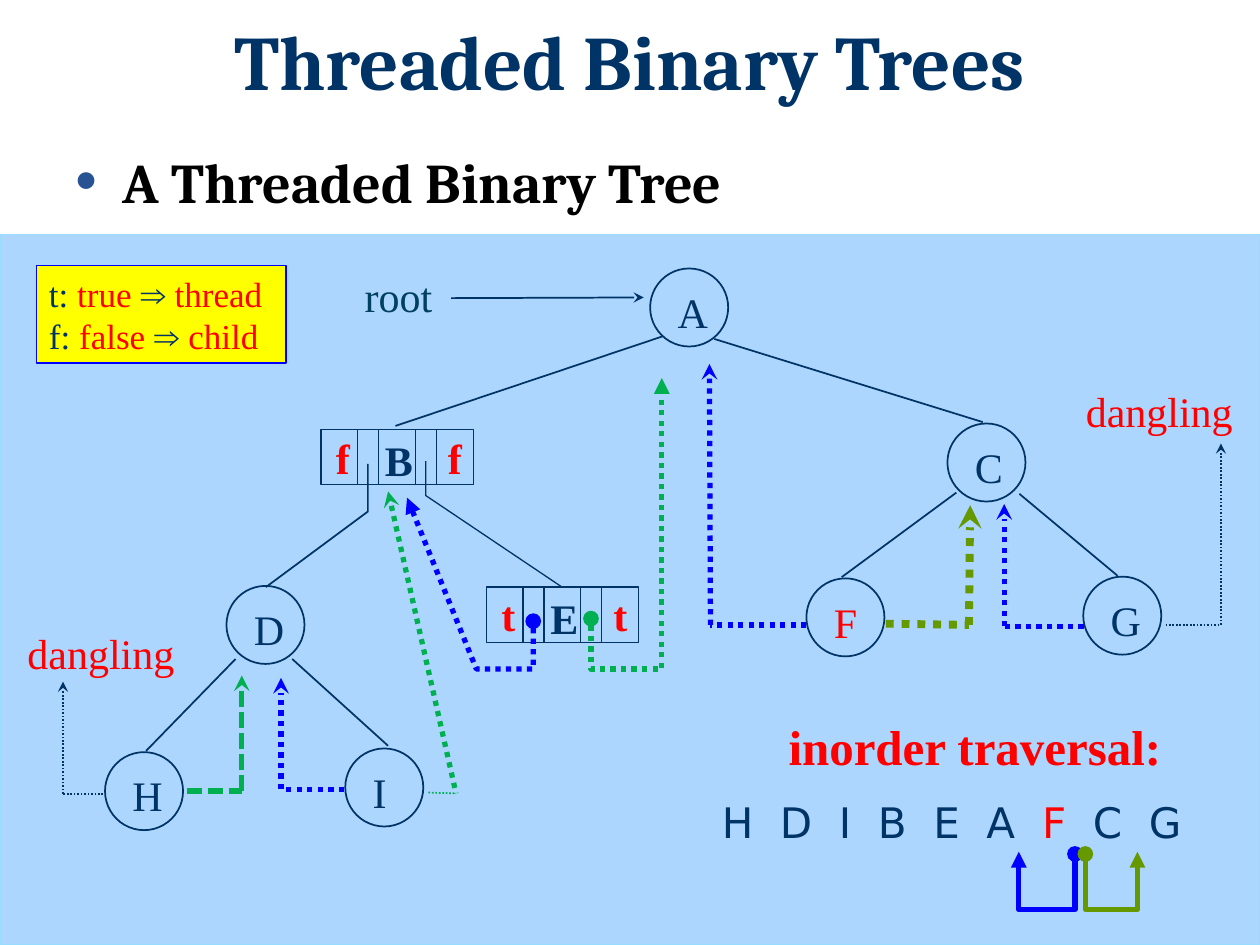
import pptx
import pptx.dml.color
import pptx.enum.dml
import pptx.enum.shapes
import pptx.enum.text
import pptx.oxml
import pptx.oxml.ns
import pptx.util

Pt = pptx.util.Pt
SHAPE = pptx.enum.shapes.MSO_SHAPE
ALIGN = pptx.enum.text.PP_ALIGN
DOT = pptx.enum.dml.MSO_LINE.ROUND_DOT
DASH = pptx.enum.dml.MSO_LINE.SQUARE_DOT

COLORS = {
    "navy": "003366", "teal": "004060", "red": "FF0000", "blue": "0000FF",
    "green": "00B050", "olive": "669900", "black": "000000", "bullet": "275393",
    "panel": "ADD6FF", "edge": "98DDFF", "yellow": "FFFF00",
}
SERIF = "Times New Roman"
NODE = 44.6
CELLS = [21, 12, 21, 12, 21]
CELL_H = 31.5


def rgb(name):
    return pptx.dml.color.RGBColor.from_string(COLORS[name])


def sub_element(parent, tag, **attrs):
    el = pptx.oxml.parse_xml(f"<{tag} {pptx.oxml.ns.nsdecls('a')}/>")
    for key, value in attrs.items():
        el.set(key, str(value))
    parent.append(el)
    return el


def style_line(sp, color, width, dash=None, head=None, tail=None):
    sp.line.color.rgb = rgb(color)
    sp.line.width = Pt(width)
    if dash:
        sp.line.dash_style = dash
    ln = sp.line._get_or_add_ln()
    for tag, kind in (("a:headEnd", head), ("a:tailEnd", tail)):
        if kind:
            sub_element(ln, tag, type=kind)


def write(tf, paragraphs, size=24, font=SERIF, bold=False, wrap=False,
          align=ALIGN.LEFT, leading=None, spacing=None):
    tf.word_wrap = wrap
    tf.vertical_anchor = pptx.enum.text.MSO_ANCHOR.TOP
    if not wrap:
        tf.auto_size = pptx.enum.text.MSO_AUTO_SIZE.SHAPE_TO_FIT_TEXT
    for i, runs in enumerate(paragraphs):
        p = tf.add_paragraph() if i else tf.paragraphs[0]
        p.alignment = align
        if leading:
            p.line_spacing = leading
        for text, color in runs:
            r = p.add_run()
            r.text = text
            r.font.size = Pt(size)
            r.font.name = font
            r.font.bold = bold
            r.font.color.rgb = rgb(color)
            if spacing:
                r.font._element.set("spc", str(spacing))


def add_text(s, x, y, w, h, runs, **fmt):
    sp = s.shapes.add_textbox(Pt(x), Pt(y), Pt(w), Pt(h))
    write(sp.text_frame, [runs], **fmt)
    return sp


def add_box(s, kind, x, y, w, h, line, width, fill=None):
    sp = s.shapes.add_shape(kind, Pt(x), Pt(y), Pt(w), Pt(h))
    sp.shadow.inherit = False
    if fill:
        sp.fill.solid()
        sp.fill.fore_color.rgb = rgb(fill)
    else:
        sp.fill.background()
    style_line(sp, line, width)
    return sp


def add_line(s, start, end, color="navy", width=1, **ends):
    sp = s.shapes.add_connector(pptx.enum.shapes.MSO_CONNECTOR.STRAIGHT,
                                *map(Pt, start + end))
    style_line(sp, color, width, **ends)
    sub_element(sp._element.spPr, "a:effectLst")


def add_path(s, points, color="navy", width=1, **ends):
    pts = [(Pt(x), Pt(y)) for x, y in points]
    fb = s.shapes.build_freeform(*pts[0], scale=1.0)
    fb.add_line_segments(pts[1:], close=False)
    sp = fb.convert_to_shape()
    sp.shadow.inherit = False
    sp.fill.background()
    style_line(sp, color, width, **ends)


def add_thread(s, start, corner, end, color, width, dash=DOT):
    add_line(s, start, corner, color, width, dash=dash)
    add_line(s, corner, end, color, width, dash=dash, tail="stealth")


def add_node(s, label, x, y, label_w, color="navy"):
    add_box(s, SHAPE.OVAL, x, y, NODE, NODE, "navy", 1)
    add_text(s, x + 8.6, y + 6.6, label_w, 36, [(label, color)])


def add_record(s, label, flag, x, y):
    add_text(s, x + 29.5, y - 0.7, 30.2, 36, [(label, "navy")], bold=True)
    for i, w in enumerate(CELLS):
        add_box(s, SHAPE.RECTANGLE, x + sum(CELLS[:i]), y, w, CELL_H, "navy", 0.75)
    for dx in (1.5, 65.5):
        add_text(s, x + dx, y - 2.2, 23, 36.7, [(flag, "red")], bold=True)


def add_heading(s):
    add_box(s, SHAPE.RECTANGLE, 0, 134, 720, 406, "edge", 0.75, "panel")
    add_text(s, 36, 10, 648, 90, [("Threaded Binary Trees", "navy")], size=44,
             font="Cambria", bold=True, wrap=True, align=ALIGN.CENTER, leading=0.9)
    sp = add_text(s, 36, 80.6, 648, 50, [("A Threaded Binary Tree", "black")],
                  size=32, font="Cambria", bold=True, wrap=True)
    pPr = sp.text_frame.paragraphs[0]._p.get_or_add_pPr()
    pPr.set("marL", str(Pt(27)))
    pPr.set("indent", str(Pt(-27)))
    sub_element(sub_element(pPr, "a:buClr"), "a:srgbClr", val=COLORS["bullet"])
    sub_element(pPr, "a:buSzPct", val=110000)
    sub_element(pPr, "a:buFont", typeface="Arial")
    sub_element(pPr, "a:buChar", char="•")


def add_tree(s):
    for node in [("A", 371.5, 153.4, 31.7), ("C", 541.4, 242, 30.2),
                 ("G", 619, 329.5, 31.7), ("I", 197.3, 427.7, 22.3),
                 ("D", 129.4, 334.8, 31.7), ("H", 60, 429.8, 31.7),
                 ("F", 460.8, 330.5, 28, "red")]:
        add_node(s, *node)
    for start, end in [((378.7, 192.2), (226, 243.4)), ((408.2, 193.7), (561.6, 241.2)),
                       ((582.5, 282.2), (638.6, 329)), ((546.5, 281.5), (481, 329.8)),
                       ((167, 376.6), (221.8, 426.2)), ((134.6, 376.6), (83.5, 429.1))]:
        add_line(s, start, end)
    add_path(s, [(210.2, 265), (210.2, 292.3), (151.9, 335.5)])
    add_path(s, [(257.8, 170.4), (367.9, 170)], tail="stealth")


def add_threads(s):
    add_line(s, (244.8, 452.9), (260.6, 453.4), "green", 1, dash=DOT)
    add_line(s, (221.8, 280.8), (260.6, 453.4), "green", 3, dash=DOT, head="stealth")
    for thread in [
        ((196.6, 451), (160.6, 451), (160.6, 387.4), "blue", 3),
        ((106.6, 452), (138.2, 452), (138.2, 386), "green", 3, DASH),
        ((460.8, 357.1), (406, 357.1), (405.4, 208), "blue", 3),
        ((619.2, 358), (573.8, 358), (573.8, 288), "blue", 3),
        ((59, 453.6), (36, 453.6), (36, 389.5), "navy", 1),
        ((506.2, 356.4), (553.7, 357.1), (554.4, 288.7), "olive", 4.5),
        ((666, 357.1), (697.7, 357.1), (697.7, 253.4), "navy", 1),
    ]:
        add_thread(s, *thread)


def add_traversal(s):
    add_text(s, 405.4, 451.4, 294.5, 36,
             [("H D I B E A ", "navy"), ("F", "red"), (" C G", "navy")],
             font="DejaVu Sans", spacing=380)
    add_text(s, 443.5, 406, 229.7, 41, [("inorder traversal:", "red")],
             size=28, bold=True)
    for x1, x2, color in [(614.3, 582.2, "blue"), (620.2, 650, "olive")]:
        add_path(s, [(x1, 488), (x1, 519.6), (x2, 519.6), (x2, 486.7)],
                 color, 3, head="oval", tail="triangle")


def add_records(s):
    add_record(s, "E", "t", 277.9, 335.5)
    add_path(s, [(337.7, 353.5), (337.7, 382.3), (378.2, 382.3), (378.2, 216)],
             "green", 3, dash=DOT, head="oval", tail="triangle")
    add_path(s, [(304.7, 355), (304.7, 382.3), (272.2, 382.3), (232.6, 284.4)],
             "blue", 3, dash=DOT, head="oval", tail="triangle")
    add_record(s, "B", "f", 183.4, 245.6)
    add_path(s, [(243.3, 263.5), (243.3, 283.2), (321.2, 335.5)], width=0.75)


def add_notes_on_tree(s):
    for x, y in [(8.6, 355), (613.4, 216.7)]:
        add_text(s, x, y, 105.8, 36, [("dangling", "red")])
    add_text(s, 201.3, 151.2, 56.2, 36, [("root", "teal")])
    sp = add_box(s, SHAPE.RECTANGLE, 20.9, 151.9, 142.6, 55.6, "blue", 0.75, "yellow")
    legend = [("t: ", "true ", "thread"), ("f: ", "false ", "child")]
    write(sp.text_frame, [[(flag, "navy"), (value, "red"), ("⇒ ", "navy"), (use, "red")]
                          for flag, value, use in legend], size=20)


def main():
    prs = pptx.Presentation()
    prs.slide_width, prs.slide_height = Pt(720), Pt(540)
    s = prs.slides.add_slide(prs.slide_layouts[6])
    add_heading(s)
    add_tree(s)
    add_threads(s)
    add_traversal(s)
    add_records(s)
    add_notes_on_tree(s)
    prs.save("out.pptx")


if __name__ == "__main__":
    main()
